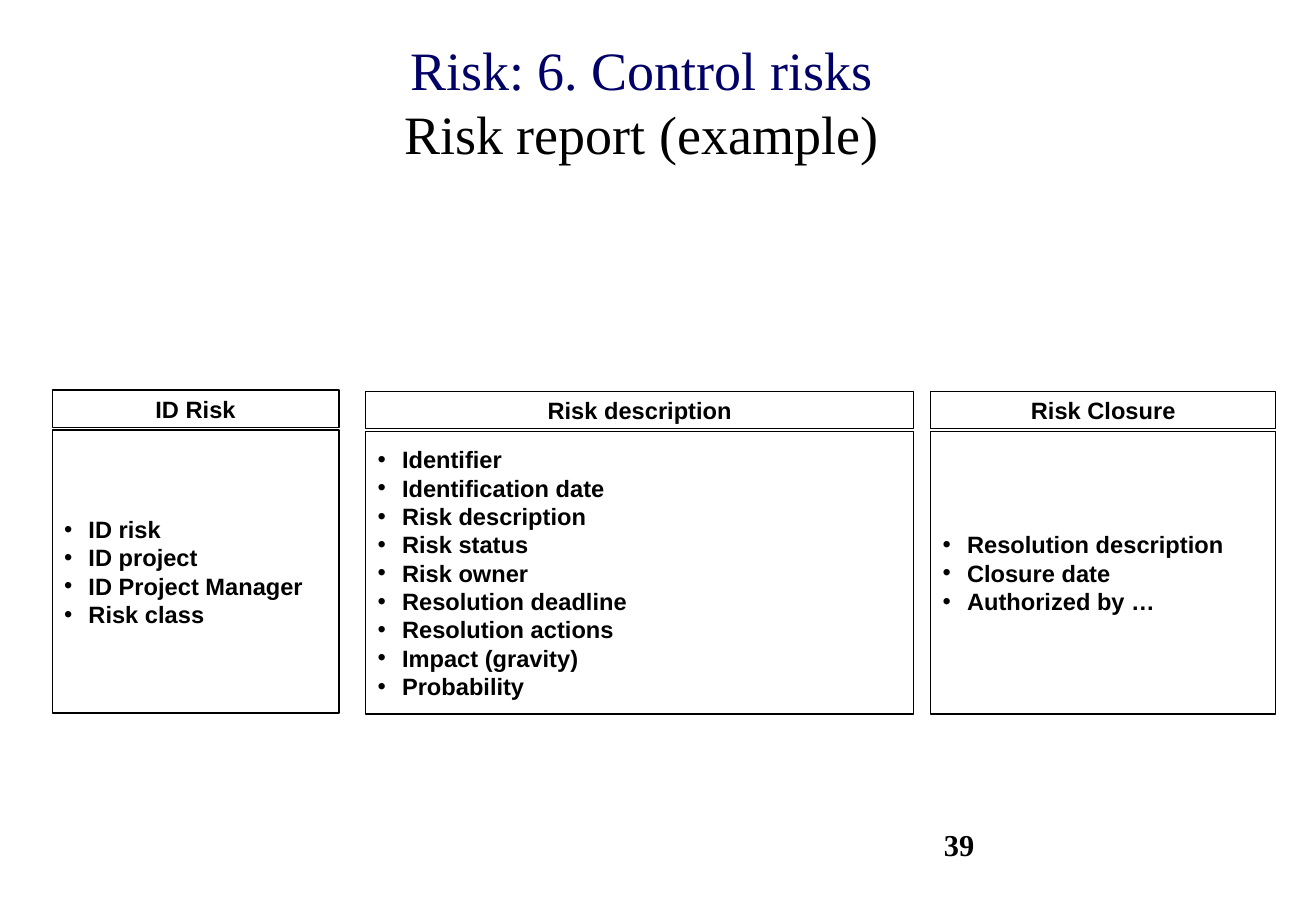
from lxml import etree
from pptx import Presentation
from pptx.dml.color import RGBColor
from pptx.enum.shapes import MSO_SHAPE
from pptx.enum.text import MSO_ANCHOR, MSO_AUTO_SIZE, PP_ALIGN
from pptx.oxml.ns import qn
from pptx.util import Inches, Pt

RECT = MSO_SHAPE.RECTANGLE
MIDDLE = MSO_ANCHOR.MIDDLE
TOP = MSO_ANCHOR.TOP
FIXED = MSO_AUTO_SIZE.NONE
LEFT = PP_ALIGN.LEFT
CENTER = PP_ALIGN.CENTER
COLORS = {"black": "000000", "white": "FFFFFF", "navy": "000066"}


def color(name):
    return RGBColor.from_string(COLORS[name])


def write(frame, lines, size=14, font="Arial", bold=True, align=LEFT,
          anchor=MIDDLE, wrap=True, bullet=False):
    frame.auto_size = FIXED
    frame.word_wrap = wrap
    frame.vertical_anchor = anchor
    for i, line in enumerate(lines):
        para = frame.paragraphs[0] if i == 0 else frame.add_paragraph()
        para.alignment = align
        if bullet:
            props = para._p.get_or_add_pPr()
            props.set("marL", str(Inches(0.2)))
            props.set("indent", str(-Inches(0.2)))
            etree.SubElement(props, qn("a:buFont"), typeface=font)
            etree.SubElement(props, qn("a:buChar"), char="•")
        parts = [(line, "black")] if isinstance(line, str) else line
        for j, (text, hue) in enumerate(parts):
            if j:
                para.add_line_break()
            run = para.add_run()
            run.text = text
            run.font.size = Pt(size)
            run.font.name = font
            run.font.bold = bold
            run.font.color.rgb = color(hue)


deck = Presentation()
deck.slide_width = Inches(10.83)
deck.slide_height = Inches(7.5)
slide = deck.slides.add_slide(deck.slide_layouts[5])

title = slide.shapes.title
title.left, title.top = Inches(0.81), Inches(0.33)
title.width, title.height = Inches(8.94), Inches(1)
heading = [("Risk: 6. Control risks", "navy"), ("Risk report (example)", "black")]
write(title.text_frame, [heading], size=32, font="Times New Roman",
      bold=False, align=CENTER)

number = slide.shapes.add_textbox(Inches(7.67), Inches(6.75), Inches(2.71), Inches(0.58))
write(number.text_frame, ["39"], size=18, font="Times New Roman", anchor=TOP)

cards = [
    (0.43, 3.21, 2.36, "ID Risk",
     ["ID risk", "ID project", "ID Project Manager", "Risk class"]),
    (3.01, 3.22, 4.51, "Risk description",
     ["Identifier", "Identification date", "Risk description", "Risk status",
      "Risk owner", "Resolution deadline", "Resolution actions",
      "Impact (gravity)", "Probability"]),
    (7.66, 3.22, 2.84, "Risk Closure",
     ["Resolution description", "Closure date", "Authorized by …"]),
]
for left, top, width, name, items in cards:
    parts = [
        (top, 0.31, [name], {"align": CENTER, "wrap": False}),
        (top + 0.33, 2.33, items, {"bullet": True}),
    ]
    for y, height, lines, style in parts:
        box = slide.shapes.add_shape(
            RECT, Inches(left), Inches(y), Inches(width), Inches(height))
        box.shadow.inherit = False
        box.fill.solid()
        box.fill.fore_color.rgb = color("white")
        box.line.color.rgb = color("black")
        box.line.width = Pt(0.75)
        write(box.text_frame, lines, **style)

deck.save("out.pptx")
